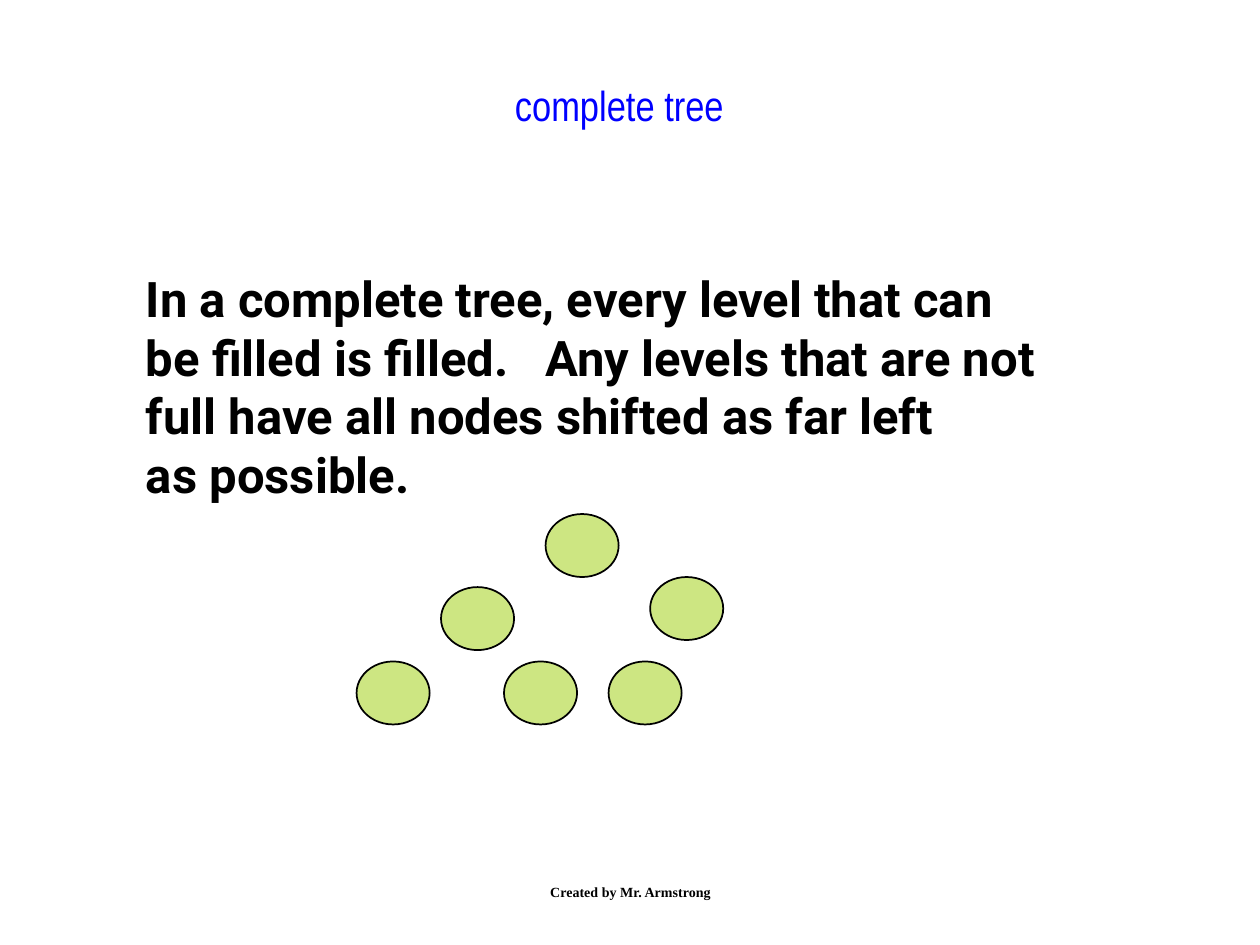
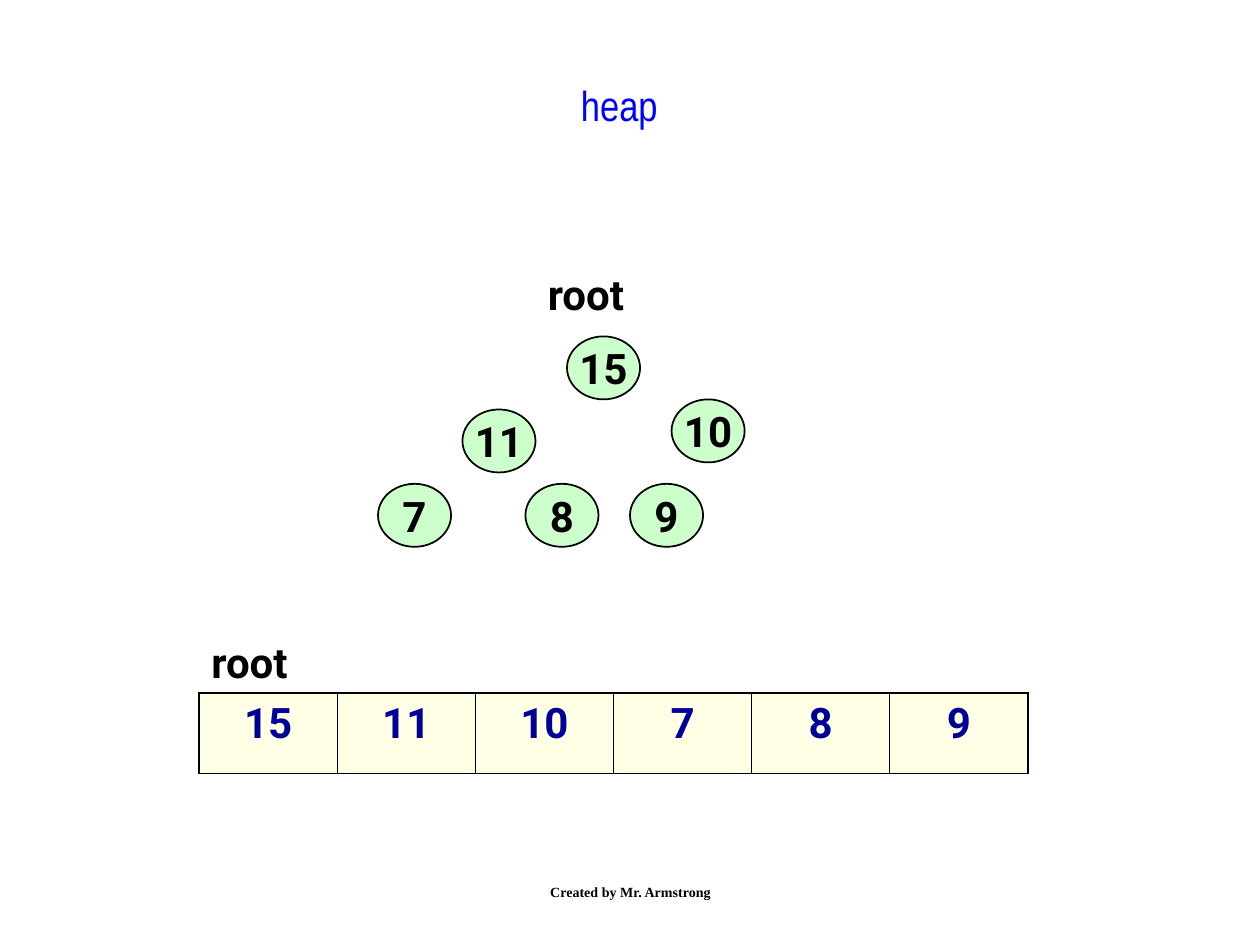
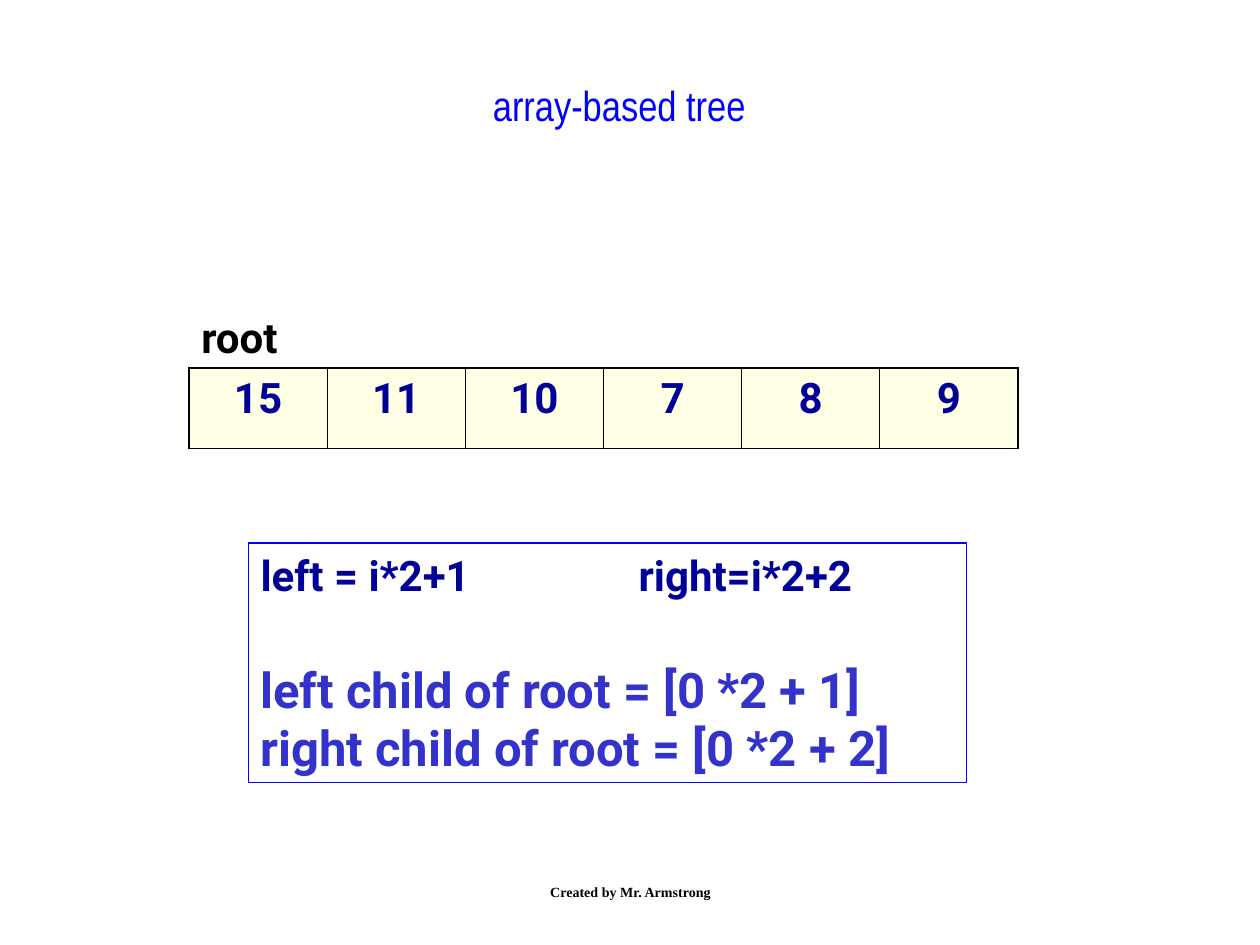
"""Build three slides on complete trees, heaps and array-based trees."""
from lxml import etree
from pptx import Presentation
from pptx.dml.color import RGBColor
from pptx.enum.shapes import MSO_SHAPE
from pptx.enum.text import MSO_ANCHOR, PP_ALIGN
from pptx.oxml.ns import qn
from pptx.util import Inches, Pt

OVAL, RECTANGLE = MSO_SHAPE.OVAL, MSO_SHAPE.RECTANGLE
LEFT, CENTER = PP_ALIGN.LEFT, PP_ALIGN.CENTER
TOP, MIDDLE = MSO_ANCHOR.TOP, MSO_ANCHOR.MIDDLE

COLORS = {
    "ink": "000000",
    "title": "0000FF",
    "value": "000099",
    "example": "3333CC",
    "plain_node": "99CC00",
    "heap_node": "CCFFCC",
    "cell": "FFFFCC",
}
BODY_FONT = "Roboto"
TITLE_STYLE = {"font": "Arial Narrow", "size": 24, "color": "title", "bold": False}
FOOTER_STYLE = {"font": "Times New Roman", "size": 8}

TITLES = ["complete tree", "heap", "array-based tree"]
FOOTER = "Created by Mr. Armstrong"
DEFINITION = [
    "In a complete tree, every level that can",
    "be filled is filled.\tAny levels that are not",
    "full have all nodes shifted as far left",
    "as possible.",
]
HEAP = [15, 11, 10, 7, 8, 9]
ROOT_LABEL = "root"
CHILD_RULE = "left = i*2+1\tright=i*2+2"
ROOT_CHILDREN = ["left child of root = [0 *2 + 1]", "right child of root = [0 *2 + 2]"]

NODE_OFFSETS = [(0, 0), (-0.83, 0.58), (0.83, 0.5), (-1.5, 1.17), (-0.33, 1.17), (0.5, 1.17)]
NODE_SIZE = (0.58, 0.5)
ARRAY_WIDTH, ARRAY_HEIGHT = 6.58, 0.64
LABEL_HEIGHT = 0.5
OUTER_BORDER, INNER_BORDER = 1.08, 0.45


def rgb(name):
    return RGBColor.from_string(COLORS[name])


def set_opacity(fill, percent):
    color = fill._xPr.find(qn("a:solidFill"))[0]
    etree.SubElement(color, qn("a:alpha"), val=str(percent * 1000))


def add_tab(paragraph, position):
    tabs = etree.SubElement(paragraph._p.get_or_add_pPr(), qn("a:tabLst"))
    etree.SubElement(tabs, qn("a:tab"), pos=str(Inches(position)), algn="l")


def write(paragraph, text, size=24, color="ink", font=BODY_FONT, bold=True, align=LEFT):
    paragraph.alignment = align
    run = paragraph.add_run()
    run.text = text
    run.font.name, run.font.size, run.font.bold = font, Pt(size), bold
    run.font.color.rgb = rgb(color)


def write_lines(frame, lines, tab, **style):
    for index, line in enumerate(lines):
        paragraph = frame.add_paragraph() if index else frame.paragraphs[0]
        if "\t" in line:
            add_tab(paragraph, tab)
        write(paragraph, line, **style)


def add_text_box(slide, box, anchor=TOP):
    frame = slide.shapes.add_textbox(*map(Inches, box)).text_frame
    frame.word_wrap = True
    frame.vertical_anchor = anchor
    return frame


def add_outlined(slide, preset, box, line_color, line_width):
    shape = slide.shapes.add_shape(preset, *map(Inches, box))
    shape.shadow.inherit = False
    shape.line.color.rgb = rgb(line_color)
    shape.line.width = Pt(line_width)
    return shape


def add_tree(slide, root_left, root_top, color, values=None, opacity=100):
    for index, (dx, dy) in enumerate(NODE_OFFSETS):
        box = (root_left + dx, root_top + dy, *NODE_SIZE)
        node = add_outlined(slide, OVAL, box, "ink", 1)
        node.fill.solid()
        node.fill.fore_color.rgb = rgb(color)
        if opacity < 100:
            set_opacity(node.fill, opacity)
        if values:
            node.text_frame.word_wrap = False
            node.text_frame.vertical_anchor = MIDDLE
            write(node.text_frame.paragraphs[0], str(values[index]), align=CENTER)


def add_root_label(slide, left, top, width):
    frame = add_text_box(slide, (left, top, width, LABEL_HEIGHT))
    write(frame.paragraphs[0], ROOT_LABEL)


def set_borders(cell, widths):
    properties = cell._tc.get_or_add_tcPr()
    for index, (side, width) in enumerate(widths.items()):
        line = etree.Element(qn(f"a:ln{side}"), w=str(Pt(width)))
        fill = etree.SubElement(line, qn("a:solidFill"))
        etree.SubElement(fill, qn("a:srgbClr"), val=COLORS["ink"])
        properties.insert(index, line)


def add_array(slide, left, top):
    add_root_label(slide, left, top - LABEL_HEIGHT, 7)
    box = (left, top, ARRAY_WIDTH, ARRAY_HEIGHT)
    table = slide.shapes.add_table(1, len(HEAP), *map(Inches, box)).table
    table.first_row = table.horz_banding = False
    last = len(HEAP) - 1
    for index, value in enumerate(HEAP):
        cell = table.cell(0, index)
        cell.fill.solid()
        cell.fill.fore_color.rgb = rgb("cell")
        set_opacity(cell.fill, 50)
        set_borders(cell, {
            "L": INNER_BORDER if index else OUTER_BORDER,
            "R": INNER_BORDER if index < last else OUTER_BORDER,
            "T": OUTER_BORDER,
            "B": OUTER_BORDER,
        })
        write(cell.text_frame.paragraphs[0], str(value), color="value", align=CENTER)


def add_complete_tree(slide):
    write_lines(add_text_box(slide, (1.06, 2.08, 8.05, 1.97)), DEFINITION, 3.17, size=28)
    add_tree(slide, 4.33, 4.08, "plain_node", opacity=49)


def add_heap(slide):
    add_tree(slide, 4.5, 2.67, "heap_node", HEAP)
    add_root_label(slide, 4.25, 2.08, 1.5)
    add_array(slide, 1.58, 5.5)


def add_array_tree(slide):
    add_array(slide, 1.5, 2.92)
    rules = add_outlined(slide, RECTANGLE, (1.97, 4.31, 5.7, 1.9), "title", 0.75)
    rules.fill.background()
    frame = rules.text_frame
    frame.vertical_anchor = TOP
    write_lines(frame, [CHILD_RULE], 3, color="value")
    for index, line in enumerate(ROOT_CHILDREN):
        paragraph = frame.add_paragraph()
        paragraph.space_before = Pt(0 if index else 34)
        write(paragraph, line, size=28, color="example")


def main():
    deck = Presentation()
    deck.slide_width, deck.slide_height = Inches(10), Inches(7.5)
    for title, add_content in zip(TITLES, [add_complete_tree, add_heap, add_array_tree]):
        slide = deck.slides.add_slide(deck.slide_layouts[6])
        heading = add_text_box(slide, (1.5, 0.58, 6.83, 0.92))
        write(heading.paragraphs[0], title, align=CENTER, **TITLE_STYLE)
        add_content(slide)
        footer = add_text_box(slide, (3.42, 6.83, 3.17, 0.5), MIDDLE)
        write(footer.paragraphs[0], FOOTER, align=CENTER, **FOOTER_STYLE)
    deck.save("out.pptx")


if __name__ == "__main__":
    main()
